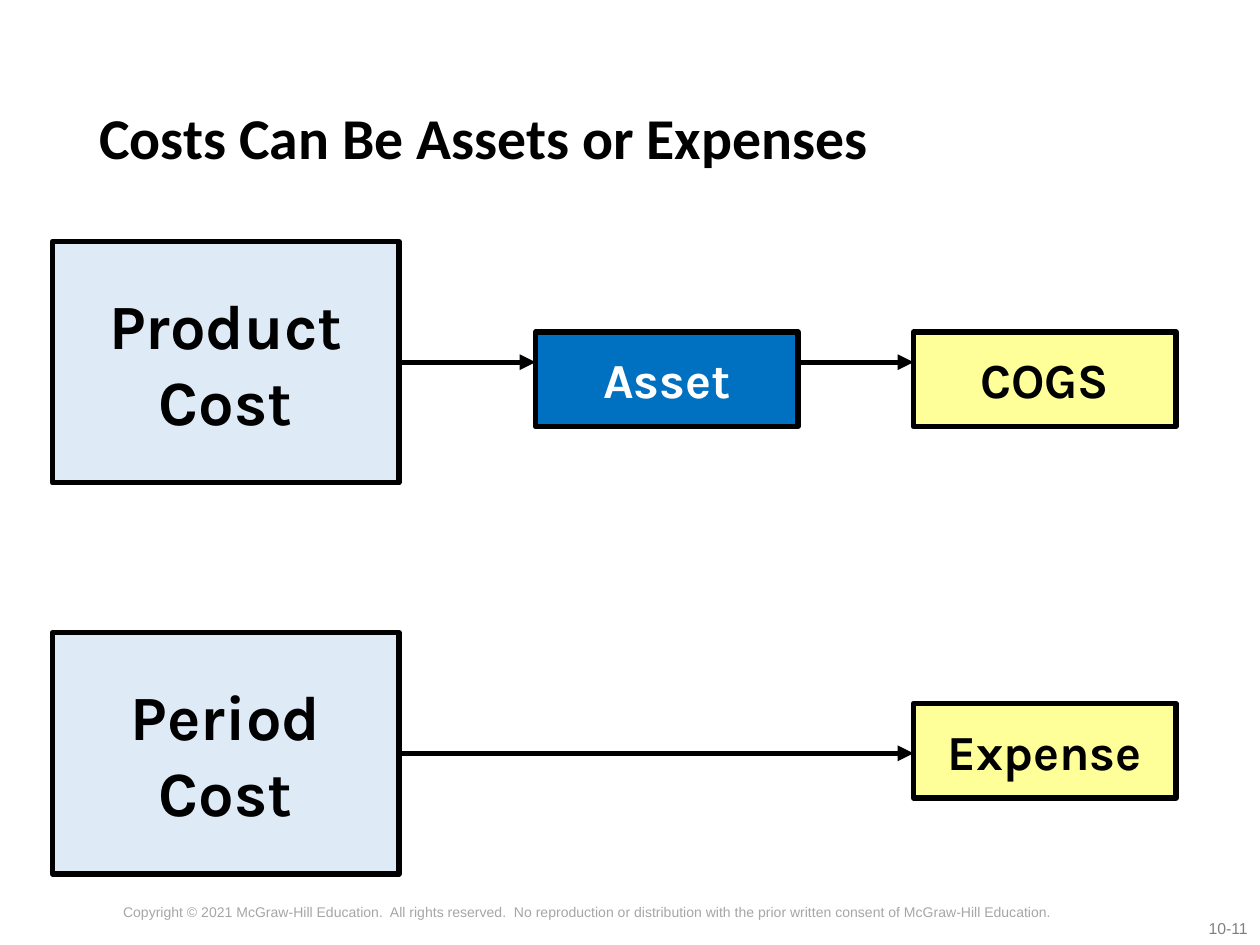
"""Build a slide showing how product and period costs become assets or expenses."""
from typing import NamedTuple, Optional

from lxml.etree import SubElement
from pptx import Presentation
from pptx.dml.color import RGBColor
from pptx.enum.shapes import MSO_CONNECTOR, MSO_SHAPE
from pptx.enum.text import MSO_ANCHOR, MSO_AUTO_SIZE, PP_ALIGN
from pptx.oxml.ns import qn
from pptx.util import Pt

PX = 9525
BLACK = RGBColor(0x00, 0x00, 0x00)
WHITE = RGBColor(0xFF, 0xFF, 0xFF)
PALE_BLUE = RGBColor(0xDE, 0xEB, 0xF7)
BLUE = RGBColor(0x00, 0x70, 0xC0)
YELLOW = RGBColor(0xFF, 0xFF, 0x99)
GRAY = RGBColor(0x80, 0x80, 0x80)
LIGHT_GRAY = RGBColor(0xA6, 0xA6, 0xA6)

COST_W, COST_H = 264, 184
RESULT_W, RESULT_H = 200, 72
COST_X, ASSET_X, RESULT_X = 40, 408, 696
PRODUCT_Y, PERIOD_Y = 184, 482
PRODUCT_RESULT_Y, PERIOD_RESULT_Y = 253, 536


class Box(NamedTuple):
    text: str
    x: int
    y: int
    w: int
    h: int
    fill: RGBColor
    size: int
    wrap: bool
    color: RGBColor = BLACK


class Arrow(NamedTuple):
    x1: int
    x2: int
    y: int
    source: Optional[str] = None


class Note(NamedTuple):
    text: str
    x: int
    y: int
    w: int
    h: int
    size: int
    color: RGBColor
    align: PP_ALIGN


def cost(text: str, y: int) -> Box:
    return Box(text, COST_X, y, COST_W, COST_H, PALE_BLUE, 36, True)


def result(text: str, x: int, y: int, fill: RGBColor, color: RGBColor = BLACK) -> Box:
    return Box(text, x, y, RESULT_W, RESULT_H, fill, 28, False, color)


BOXES = [
    cost("Product Cost", PRODUCT_Y),
    cost("Period Cost", PERIOD_Y),
    result("COGS", RESULT_X, PRODUCT_RESULT_Y, YELLOW),
    result("Expense", RESULT_X, PERIOD_RESULT_Y, YELLOW),
]
ASSET = result("Asset", ASSET_X, PRODUCT_RESULT_Y, BLUE, WHITE)
ARROWS = [
    Arrow(COST_X + COST_W, ASSET_X, PRODUCT_Y + COST_H // 2, "Product Cost"),
    Arrow(ASSET_X + RESULT_W, RESULT_X, PRODUCT_Y + COST_H // 2),
    Arrow(COST_X + COST_W, RESULT_X, PERIOD_Y + COST_H // 2, "Period Cost"),
]
NOTES = [
    Note("10-11", 844, 695, 116, 24, 9, GRAY, PP_ALIGN.RIGHT),
    Note("Copyright © 2021 McGraw-Hill Education.  All rights reserved.  "
         "No reproduction or distribution with the prior written consent of "
         "McGraw-Hill Education.", 0, 684, 896, 36, 8, LIGHT_GRAY, PP_ALIGN.CENTER),
]


def write(tf, text: str, font: str, size: int, color: RGBColor, align: PP_ALIGN,
          bold: bool = True) -> None:
    tf.text = text
    p = tf.paragraphs[0]
    p.alignment = align
    f = p.runs[0].font
    f.name, f.size, f.bold = font, Pt(size), bold
    f.color.rgb = color


def add_title(s, text: str) -> None:
    sp = s.shapes.title
    sp.left, sp.top, sp.width, sp.height = (v * PX for v in (66, 38, 828, 139))
    tf = sp.text_frame
    write(tf, text, "Calibri", 33, BLACK, PP_ALIGN.LEFT)
    tf.vertical_anchor = MSO_ANCHOR.MIDDLE
    tf.paragraphs[0].line_spacing = 0.9


def add_note(s, note: Note) -> None:
    sp = s.shapes.add_textbox(note.x * PX, note.y * PX, note.w * PX, note.h * PX)
    tf = sp.text_frame
    tf.word_wrap = True
    tf.auto_size = MSO_AUTO_SIZE.SHAPE_TO_FIT_TEXT
    write(tf, note.text, "Arial", note.size, note.color, note.align, False)


def add_box(s, box: Box):
    sp = s.shapes.add_shape(MSO_SHAPE.RECTANGLE, box.x * PX, box.y * PX,
                            box.w * PX, box.h * PX)
    sp.shadow.inherit = False
    sp.fill.solid()
    sp.fill.fore_color.rgb = box.fill
    sp.line.color.rgb = BLACK
    sp.line.width = Pt(3)
    tf = sp.text_frame
    tf.word_wrap = box.wrap
    tf.vertical_anchor = MSO_ANCHOR.MIDDLE
    write(tf, box.text, "Karla", box.size, box.color, PP_ALIGN.CENTER)
    return sp


def add_arrow(s, arrow: Arrow, boxes: dict) -> None:
    cx = s.shapes.add_connector(MSO_CONNECTOR.STRAIGHT, arrow.x1 * PX, arrow.y * PX,
                                arrow.x2 * PX, arrow.y * PX)
    cx.line.color.rgb = BLACK
    cx.line.width = Pt(3)
    SubElement(cx.line._get_or_add_ln(), qn("a:tailEnd"), type="triangle")
    SubElement(cx._element.spPr, qn("a:effectLst"))
    if arrow.source:
        cx.begin_connect(boxes[arrow.source], 3)


def main() -> None:
    prs = Presentation()
    prs.slide_width, prs.slide_height = 960 * PX, 720 * PX
    s = prs.slides.add_slide(prs.slide_layouts[5])
    for note in NOTES:
        add_note(s, note)
    add_title(s, "Costs Can Be Assets or Expenses")
    boxes = {box.text: add_box(s, box) for box in BOXES}
    for arrow in ARROWS:
        add_arrow(s, arrow, boxes)
    add_box(s, ASSET)
    prs.save("out.pptx")


if __name__ == "__main__":
    main()
